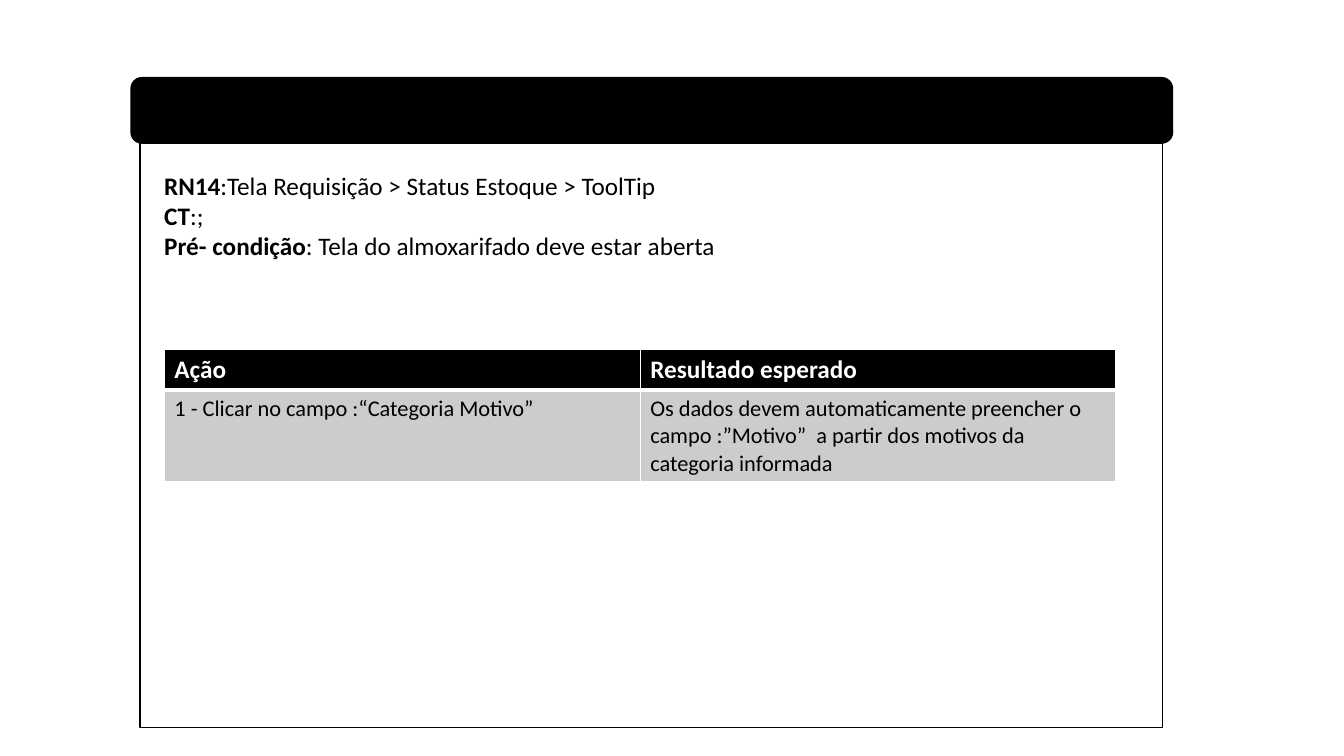
from lxml import etree
from pptx import Presentation
from pptx.dml.color import RGBColor
from pptx.enum.shapes import MSO_SHAPE
from pptx.enum.text import MSO_AUTO_SIZE
from pptx.oxml.ns import qn
from pptx.util import Emu, Pt

PX = 9144
BLANK_LAYOUT = 6
RECTANGLE = MSO_SHAPE.RECTANGLE
ROUNDED = MSO_SHAPE.ROUNDED_RECTANGLE
GROW = MSO_AUTO_SIZE.SHAPE_TO_FIT_TEXT
BLACK, WHITE, GREY = "000000", "FFFFFF", "CCCCCC"


def px(length):
    return Emu(length * PX)


def color(value):
    return RGBColor.from_string(value)


class TestCasePage:
    font = "Calibri"

    def __init__(self, deck):
        self.page = deck.slides.add_slide(deck.slide_layouts[BLANK_LAYOUT])

    def panel(self, kind, bounds, fill=None):
        box = self.page.shapes.add_shape(kind, *map(px, bounds))
        box.shadow.inherit = False
        if fill:
            box.fill.solid()
            box.fill.fore_color.rgb = color(fill)
        else:
            box.fill.background()
        box.line.color.rgb = color(BLACK)
        box.line.width = Pt(1)

    def add_span(self, para, text, size, bold=False, ink=BLACK):
        span = para.add_run()
        span.text = text
        for name, value in {"name": self.font, "size": Pt(size), "bold": bold}.items():
            setattr(span.font, name, value)
        span.font.color.rgb = color(ink)

    def labelled_text(self, bounds, lines, size):
        frame = self.page.shapes.add_textbox(*map(px, bounds)).text_frame
        frame.word_wrap = True
        frame.auto_size = GROW
        for index, (label, detail) in enumerate(lines):
            para = frame.add_paragraph() if index else frame.paragraphs[0]
            self.add_span(para, label, size, bold=True)
            self.add_span(para, detail, size)

    def border(self, cell, widths):
        properties = cell._tc.get_or_add_tcPr()
        for side, width in zip("LRTB", widths):
            line = etree.SubElement(properties, qn(f"a:ln{side}"), w=str(Pt(width)))
            fill = etree.SubElement(line, qn("a:solidFill"))
            etree.SubElement(fill, qn("a:srgbClr"), val=WHITE)

    def table(self, bounds, row_heights, rows, row_styles):
        frame = self.page.shapes.add_table(len(rows), len(rows[0]), *map(px, bounds))
        table = frame.table
        table.horz_banding = False
        for row, height, texts, style in zip(table.rows, row_heights, rows, row_styles):
            row.height = px(height)
            for cell, text in zip(row.cells, texts):
                self.border(cell, style["borders"])
                cell.fill.solid()
                cell.fill.fore_color.rgb = color(style["fill"])
                self.add_span(cell.text_frame.paragraphs[0], text, **style["text"])


def main():
    deck = Presentation()
    deck.slide_width, deck.slide_height = px(1333), px(750)
    page = TestCasePage(deck)
    page.panel(ROUNDED, (130, 77, 1033, 65), BLACK)
    page.panel(RECTANGLE, (139, 142, 1014, 580))
    page.labelled_text((153, 164, 1000, 101), [
        ("RN14", ":Tela Requisição > Status Estoque > ToolTip"),
        ("CT", ":;"),
        ("Pré- condição", ": Tela do almoxarifado deve estar aberta"),
    ], 18)
    header = {"fill": BLACK, "borders": (1, 1, 1, 3),
              "text": {"size": 18, "bold": True, "ink": WHITE}}
    body = {"fill": GREY, "borders": (1, 1, 3, 1), "text": {"size": 16}}
    page.table((163, 347, 944, 130), (39, 91), [
        ("Ação", "Resultado esperado"),
        ("1 - Clicar no campo :“Categoria Motivo”",
         "Os dados devem automaticamente preencher o campo :”Motivo”  "
         "a partir dos motivos da categoria informada"),
    ], (header, body))
    deck.save("out.pptx")


if __name__ == "__main__":
    main()
